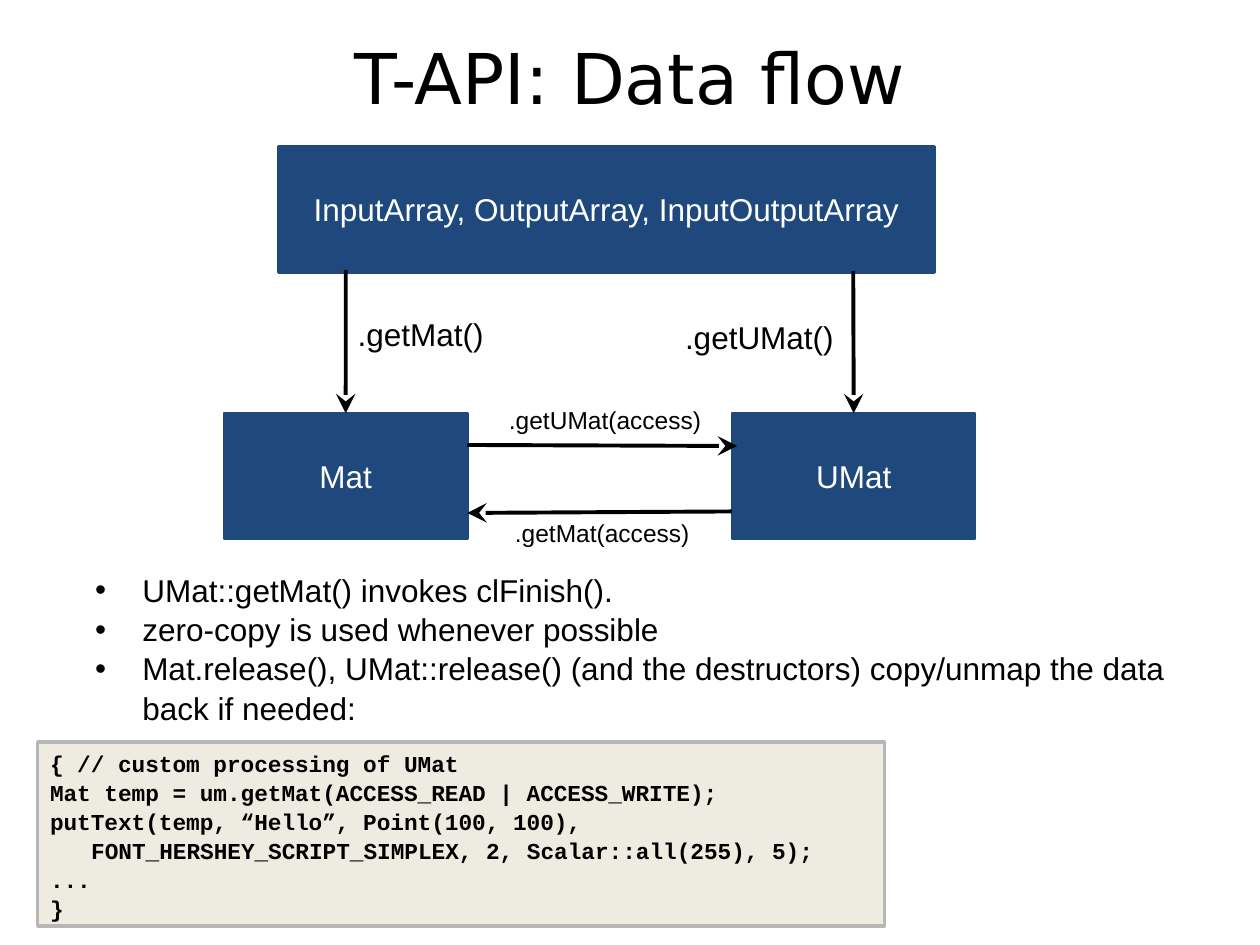
from pptx import Presentation, util as u
from pptx.dml.color import RGBColor
from pptx.enum import shapes, text
from pptx.oxml import ns, xmlchemy as xml

NAVY, BLACK, WHITE = "1F497D", "000000", "FFFFFF"
LEFT, MID = text.PP_ALIGN.LEFT, text.PP_ALIGN.CENTER


def color(code):
    return RGBColor.from_string(code)


def add(node, tag, **attrs):
    child = xml.OxmlElement(tag)
    for name, value in attrs.items():
        child.set(name, value)
    node.append(child)
    return child


class Deck:
    """Holds the style and the current slide, and draws each kind of element."""

    font = "Arial"
    size = 18
    edge = 2.25

    def __init__(self, slide):
        self.slide = slide

    def letter(self, shape, lines, size=None, font=None, ink=BLACK, align=LEFT,
               anchor=text.MSO_ANCHOR.TOP, bold=False, pad=0.25, space=None):
        frame = shape.text_frame
        frame.text = "\n".join(lines)
        frame.word_wrap = True
        frame.vertical_anchor = anchor
        frame.margin_left = frame.margin_right = u.Cm(0.25)
        frame.margin_top = frame.margin_bottom = u.Cm(pad)
        for para in frame.paragraphs:
            para.alignment = align
            para.line_spacing = space
            for run in para.runs:
                run.font.name = font or self.font
                run.font.size = u.Pt(size or self.size)
                run.font.bold = bold
                run.font.color.rgb = color(ink)
        return frame.paragraphs

    def label(self, x, y, w, h, lines, **style):
        box = self.slide.shapes.add_textbox(u.Cm(x), u.Cm(y), u.Cm(w), u.Cm(h))
        return self.letter(box, lines, **style)

    def bullets(self, x, y, w, h, items, **style):
        for para in self.label(x, y, w, h, items, **style):
            props = self.indent(para, 1.27, -0.95)
            tint = add(props, "a:buClr")
            add(tint, "a:srgbClr", val=BLACK)
            add(props, "a:buFont", typeface=self.font)
            add(props, "a:buChar", char="•")

    def indent(self, para, left, first=0):
        props = para._p.get_or_add_pPr()
        props.set("marL", str(u.Cm(left)))
        props.set("indent", str(u.Cm(first)))
        return props

    def panel(self, x, y, w, h, fill, line, width):
        box = self.slide.shapes.add_shape(
            shapes.MSO_SHAPE.RECTANGLE, u.Cm(x), u.Cm(y), u.Cm(w), u.Cm(h))
        box.shadow.inherit = False
        box.fill.solid()
        box.fill.fore_color.rgb = color(fill)
        box.line.color.rgb = color(line)
        box.line.width = u.Pt(width)
        return box

    def node(self, x, y, w, name):
        box = self.panel(x, y, w, 2.54, NAVY, NAVY, 1.5)
        self.letter(box, [name], ink=WHITE, align=MID, anchor=text.MSO_ANCHOR.MIDDLE)
        return box

    def arrow(self, x1, y1, x2, y2, goal=None):
        line = self.slide.shapes.add_connector(
            shapes.MSO_CONNECTOR.STRAIGHT, u.Cm(x1), u.Cm(y1), u.Cm(x2), u.Cm(y2))
        line.line.color.rgb = color(BLACK)
        line.line.width = u.Pt(self.edge)
        props = line._element.spPr
        add(props.find(ns.qn("a:ln")), "a:tailEnd", type="stealth", w="lg", len="lg")
        add(props, "a:effectLst")
        if goal is not None:
            line.end_connect(goal, 0)

    def code(self, x, y, w, h, lines, inner):
        box = self.panel(x, y, w, h, "EEECE1", "B7B7B7", 2)
        paras = self.letter(box, lines, size=13, font="Courier New", bold=True,
                            pad=0.13, space=1.06)
        self.indent(paras[inner], 0.83)


def main():
    show = Presentation()
    show.slide_width, show.slide_height = u.Cm(25.4), u.Cm(19.05)
    deck = Deck(show.slides.add_slide(show.slide_layouts[6]))

    deck.label(1.9, 0.28, 21.59, 2.54, ["T-API: Data flow"], size=40,
               font="DejaVu Sans", align=MID, anchor=text.MSO_ANCHOR.MIDDLE)
    deck.bullets(1.35, 11.23, 22.71, 3.15, [
        "UMat::getMat() invokes clFinish().",
        "zero-copy is used whenever possible",
        "Mat.release(), UMat::release() (and the destructors) copy/unmap the data "
        "back if needed:",
    ], space=1.04)

    deck.node(5.61, 2.95, 13.23, "InputArray, OutputArray, InputOutputArray")
    mat = deck.node(4.52, 8.33, 4.9, "Mat")
    umat = deck.node(14.76, 8.33, 4.9, "UMat")

    deck.arrow(6.97, 5.44, 6.97, 8.33, mat)
    deck.arrow(17.2, 5.46, 17.21, 8.33, umat)
    deck.arrow(9.42, 8.97, 14.86, 8.99)
    deck.arrow(14.76, 10.31, 9.42, 10.34)

    for x, y, w, name, size in (
        (6.96, 6.1, 3.18, ".getMat()", 18),
        (13.56, 6.17, 3.61, ".getUMat()", 18),
        (10.13, 10.19, 4.34, ".getMat(access)", 14),
        (10.01, 7.92, 5.33, ".getUMat(access)", 14),
    ):
        deck.label(x, y, w, 1.07, [name], size=size)

    deck.code(0.76, 14.96, 17.07, 3.71, [
        "{ // custom processing of UMat",
        "Mat temp = um.getMat(ACCESS_READ | ACCESS_WRITE);",
        "putText(temp, “Hello”, Point(100, 100),",
        "FONT_HERSHEY_SCRIPT_SIMPLEX, 2, Scalar::all(255), 5);",
        "...",
        "}",
    ], inner=3)
    show.save("out.pptx")


if __name__ == "__main__":
    main()
